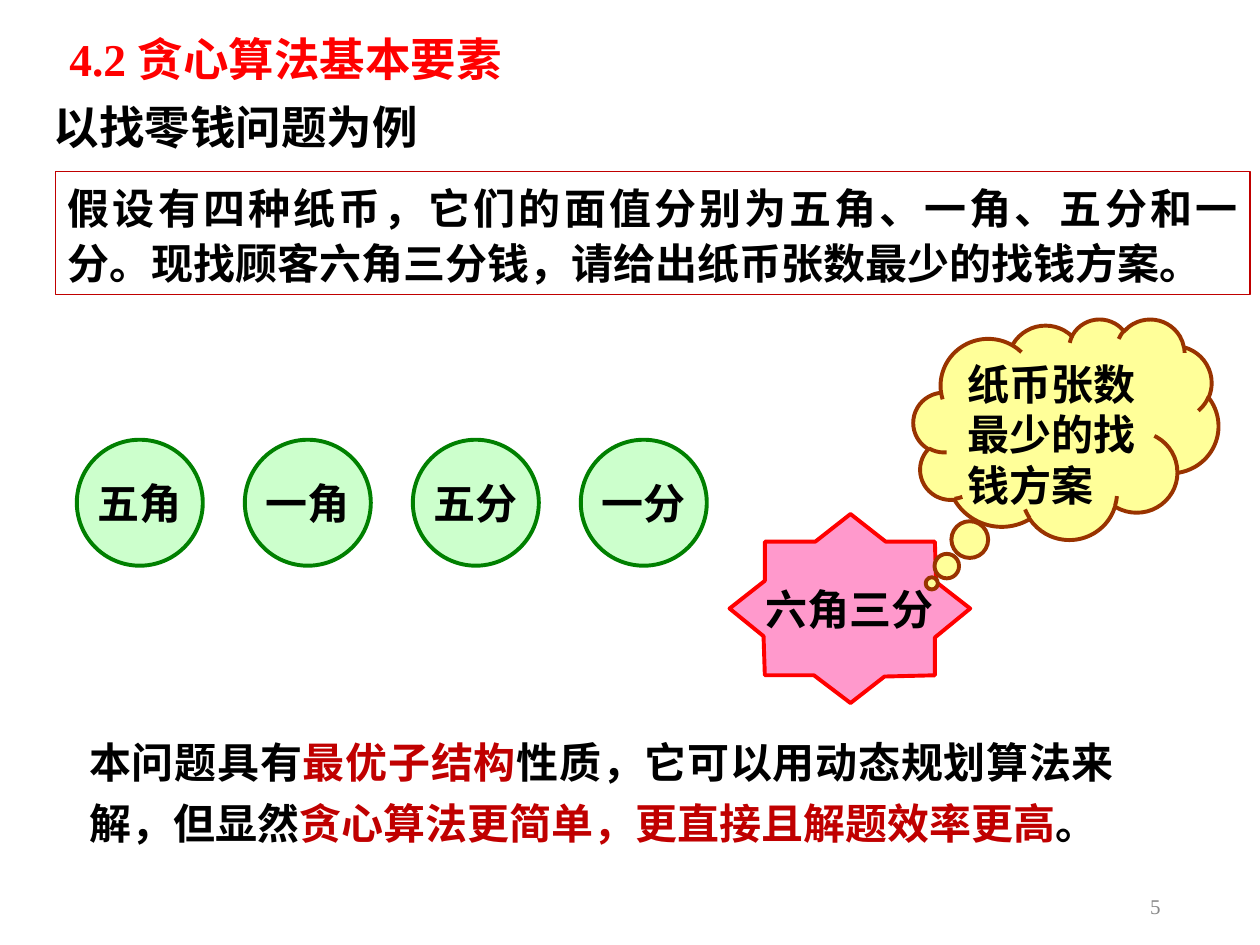
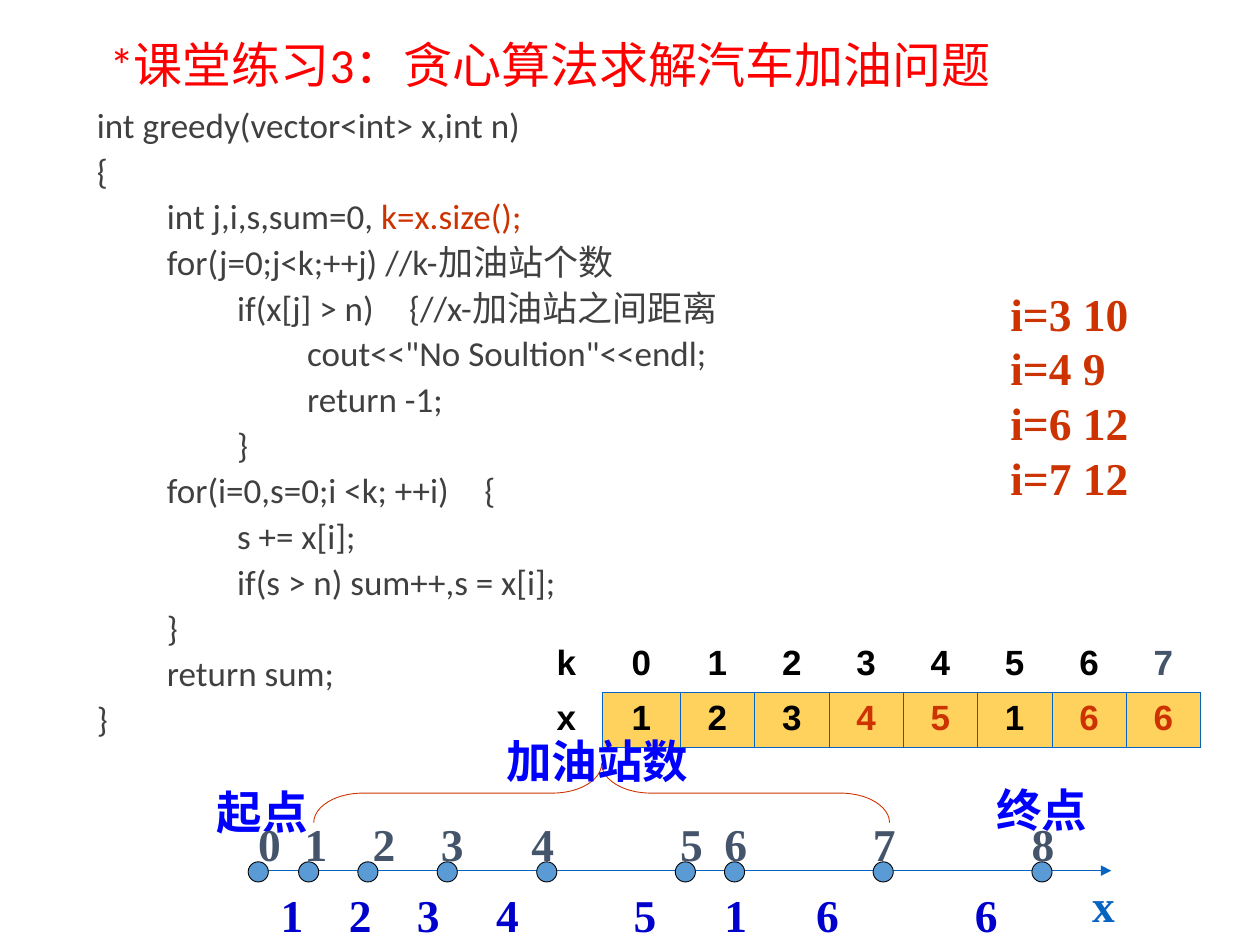
from lxml.etree import SubElement
from pptx import Presentation
from pptx.dml.color import RGBColor
from pptx.enum.shapes import MSO_CONNECTOR, MSO_SHAPE as SHAPE
from pptx.enum.text import MSO_ANCHOR as ANCHOR, MSO_AUTO_SIZE, PP_ALIGN as ALIGN
from pptx.oxml.ns import qn
from pptx.util import Inches, Pt

COLORS = {
    "black": "000000", "red": "FF0000", "dark_red": "C00000", "gray": "898989",
    "pink": "FF99CC", "mint": "CCFFCC", "green": "008000", "cream": "FFFF99",
    "brown": "993300", "code": "404040", "rust": "CC3300", "slate": "44546A",
    "gold": "FFD15D", "link": "0563C1", "dot": "5B9BD5", "blue": "0000FF",
    "navy": "0000CC",
}
SERIF, CJK = "Times New Roman", "Noto Sans CJK SC"
LABEL = dict(size=26, bold=True, wrap=False)


def rgb(name):
    return RGBColor.from_string(COLORS[name])


def add_tabs(p, stops):
    tabs = SubElement(p._p.get_or_add_pPr(), qn("a:tabLst"))
    for stop in stops:
        SubElement(tabs, qn("a:tab"), pos=str(Inches(stop)), algn="l")


def write(tf, paragraphs, size=24, font=SERIF, color="black", bold=False,
          align=ALIGN.LEFT, anchor=ANCHOR.TOP, wrap=True, spacing=None,
          before=0, after=0, tabs=()):
    tf.word_wrap = wrap
    tf.vertical_anchor = anchor
    if isinstance(paragraphs, str):
        paragraphs = [paragraphs]
    for i, runs in enumerate(paragraphs):
        p = tf.paragraphs[0] if i == 0 else tf.add_paragraph()
        p.alignment = align
        p._p.get_or_add_pPr().set("hangingPunct", "0")
        if spacing:
            p.line_spacing = spacing
        p.space_before = Pt(before if i else 0)
        p.space_after = Pt(after)
        if tabs:
            add_tabs(p, tabs)
        for text, run_color in [(runs, color)] if isinstance(runs, str) else runs:
            r = p.add_run()
            r.text = text
            r.font.size = Pt(size)
            r.font.bold = bold
            r.font.name = font
            r.font.color.rgb = rgb(run_color)
            SubElement(r._r.get_or_add_rPr(), qn("a:ea"), typeface=CJK)


def add_text(slide, box, paragraphs, **fmt):
    sp = slide.shapes.add_textbox(*map(Inches, box))
    write(sp.text_frame, paragraphs, **fmt)


def add_title(slide, box, text, **fmt):
    title = slide.shapes.title
    title.left, title.top, title.width, title.height = map(Inches, box)
    write(title.text_frame, text, color="red", **fmt)
    title.text_frame.auto_size = MSO_AUTO_SIZE.NONE


def style(sp, fill, line, width):
    sp.shadow.inherit = False
    if fill:
        sp.fill.solid()
        sp.fill.fore_color.rgb = rgb(fill)
    else:
        sp.fill.background()
    sp.line.color.rgb = rgb(line)
    sp.line.width = Pt(width)


def add_preset(slide, kind, box, fill, line, width=2.25, adjust=()):
    sp = slide.shapes.add_shape(kind, *map(Inches, box))
    for i, value in enumerate(adjust):
        sp.adjustments[i] = value
    style(sp, fill, line, width)
    return sp


def add_polygon(slide, points, fill, line):
    start, *rest = [(Inches(x), Inches(y)) for x, y in points]
    builder = slide.shapes.build_freeform(*start)
    builder.add_line_segments(rest, close=True)
    sp = builder.convert_to_shape()
    style(sp, fill, line, 2.25)
    return sp


def add_arrow(slide, x1, x2, y):
    line = slide.shapes.add_connector(
        MSO_CONNECTOR.STRAIGHT, Inches(x1), Inches(y), Inches(x2), Inches(y))
    line.line.color.rgb = rgb("link")
    line.line.width = Pt(0.5)
    SubElement(line.line._get_or_add_ln(), qn("a:tailEnd"), type="triangle")
    SubElement(line._element.spPr, qn("a:effectLst"))


def add_borders(cell, sides):
    tcPr = cell._tc.get_or_add_tcPr()
    for i, side in enumerate(sides):
        ln = tcPr.makeelement(qn(f"a:ln{side}"), {"w": str(Pt(0.45))})
        fill = SubElement(ln, qn("a:solidFill"))
        SubElement(fill, qn("a:srgbClr"), val=COLORS["link"])
        tcPr.insert(i, ln)


def add_distance_table(slide):
    rows = [["k", *"01234567"], ["x", *"12345166"]]
    highlights = {(0, 8): "slate", **{(1, c): "rust" for c in (4, 5, 7, 8)}}
    table = slide.shapes.add_table(
        2, 9, Inches(4.21), Inches(5.06), Inches(5.33), Inches(0.67)).table
    table.first_row = table.horz_banding = False
    for c, width in enumerate([0.57, 0.62] + [0.59] * 7):
        table.columns[c].width = Inches(width)
    for r, values in enumerate(rows):
        for c, value in enumerate(values):
            cell = table.cell(r, c)
            write(cell.text_frame, value, size=20, font="Arial", bold=True,
                  align=ALIGN.CENTER, color=highlights.get((r, c), "black"))
            if r and c:
                cell.fill.solid()
                cell.fill.fore_color.rgb = rgb("gold")
                add_borders(cell, "LRTB")
            else:
                cell.fill.background()
                if r or c:
                    add_borders(cell, "R" if r else "B")


def add_route(slide):
    add_arrow(slide, 2.05, 8.82, 6.91)
    for left in (1.97, 2.37, 2.84, 3.47, 4.26, 5.36, 5.75, 6.93, 8.19):
        add_preset(slide, SHAPE.OVAL, (left, 6.84, 0.16, 0.16), "dot", "black", 0.5)
    add_text(slide, (1.95, 6.43, 6.7, 0.54), "\t".join("012345678"), size=26,
             bold=True, color="slate",
             tabs=(0.37, 0.91, 1.45, 2.17, 3.35, 3.7, 4.88, 6.14))
    add_text(slide, (2.13, 6.99, 6.1, 0.54), "\t".join("12345166"), size=26,
             bold=True, color="navy",
             tabs=(0.54, 1.08, 1.71, 2.8, 3.52, 4.25, 5.51))
    add_text(slide, (8.57, 6.91, 0.38, 0.54), "x", color="link", **LABEL)


def build_change_slide(slide):
    add_title(slide, (0.45, 0.02, 4.5, 0.71), "4.2 贪心算法基本要素", size=26,
              bold=True, anchor=ANCHOR.MIDDLE, spacing=1.4)
    add_text(slide, (7.06, 6.95, 2.25, 0.4), "5", size=12, color="gray",
             align=ALIGN.RIGHT, anchor=ANCHOR.MIDDLE, spacing=1.4)
    add_text(slide, (0.33, 0.65, 3.27, 0.62), "以找零钱问题为例", size=26,
             bold=True, anchor=ANCHOR.MIDDLE, spacing=1.2)

    centered = dict(bold=True, align=ALIGN.CENTER, anchor=ANCHOR.MIDDLE, wrap=False)
    star = add_polygon(slide, [
        (5.79, 4.83), (6.06, 5.05), (6.07, 5.36), (6.46, 5.36),
        (6.75, 5.58), (7.02, 5.37), (7.42, 5.36), (7.42, 5.06),
        (7.7, 4.83), (7.43, 4.62), (7.42, 4.3), (7.03, 4.3),
        (6.75, 4.08), (6.47, 4.3), (6.07, 4.3), (6.07, 4.61)], "pink", "red")
    write(star.text_frame, "六角三分", **centered)

    problem = add_preset(slide, SHAPE.RECTANGLE, (0.44, 1.36, 9.48, 0.98),
                         None, "dark_red", 0.75)
    write(problem.text_frame,
          "假设有四种纸币，它们的面值分别为五角、一角、五分和一分。"
          "现找顾客六角三分钱，请给出纸币张数最少的找钱方案。",
          font="Cambria", bold=True, align=ALIGN.JUSTIFY, spacing=1.1)

    for i, value in enumerate(("五角", "一角", "五分", "一分")):
        note = add_preset(slide, SHAPE.OVAL, (0.61 + i * 4 / 3, 3.49, 1, 1),
                          "mint", "green")
        write(note.text_frame, value, **centered)

    cloud = add_preset(slide, SHAPE.CLOUD_CALLOUT, (7.25, 2.53, 2.42, 1.75),
                       "cream", "brown", adjust=(-0.44, 0.7))
    write(cloud.text_frame, "纸币张数最少的找钱方案", bold=True)

    add_text(slide, (0.61, 5.72, 8.33, 1.06), [[
        ("本问题具有", "black"), ("最优子结构", "dark_red"),
        ("性质，它可以用动态规划算法来解，但显然", "black"),
        ("贪心算法更简单，更直接且解题效率更高", "dark_red"), ("。", "black")]],
        font="Cambria", bold=True, align=ALIGN.JUSTIFY, spacing=1.2)


def build_refuel_slide(slide):
    add_title(slide, (0.77, 0.13, 8.56, 0.63),
              "*课堂练习3：贪心算法求解汽车加油问题",
              size=28, font="Calibri", spacing=1.2)
    add_text(slide, (0.67, 0.81, 7.64, 6.03), [
        "int greedy(vector<int> x,int n)",
        "{",
        [("　　int j,i,s,sum=0, ", "code"), ("k=x.size();", "rust")],
        "　　for(j=0;j<k;++j) //k-加油站个数",
        "　　　　if(x[j] > n)　{//x-加油站之间距离",
        "　　　　　　cout<<\"No Soultion\"<<endl;",
        "　　　　　　return -1;",
        "　　　　}",
        "　　for(i=0,s=0;i <k; ++i)　{",
        "　　　　s += x[i];",
        "　　　　if(s > n) sum++,s = x[i];",
        "　　}",
        "　　return sum;",
        "}"], size=20, font="Calibri", color="code", spacing=0.9, before=2.5, after=2)
    add_distance_table(slide)
    add_text(slide, (7.92, 2.22, 1.14, 1.84),
             ["i=3 10", "i=4 9", "i=6 12", "i=7 12"], color="rust", **LABEL)

    brace = add_preset(slide, SHAPE.LEFT_BRACE, (4.54, 4.01, 0.47, 4.57),
                       None, "rust", 0.5, adjust=(0.83, 0.5))
    brace.rotation = 90
    for box, text in (((1.62, 6.17, 0.92, 0.54), "起点"),
                      ((7.81, 6.16, 0.92, 0.54), "终点"),
                      ((3.82, 5.77, 1.84, 0.54), "加油站数")):
        add_text(slide, box, text, color="blue", align=ALIGN.CENTER, **LABEL)
    add_route(slide)


def main():
    prs = Presentation()
    prs.slide_width, prs.slide_height = Inches(10), Inches(7.5)
    for build in (build_change_slide, build_refuel_slide):
        build(prs.slides.add_slide(prs.slide_layouts[5]))
    prs.save("out.pptx")


if __name__ == "__main__":
    main()
